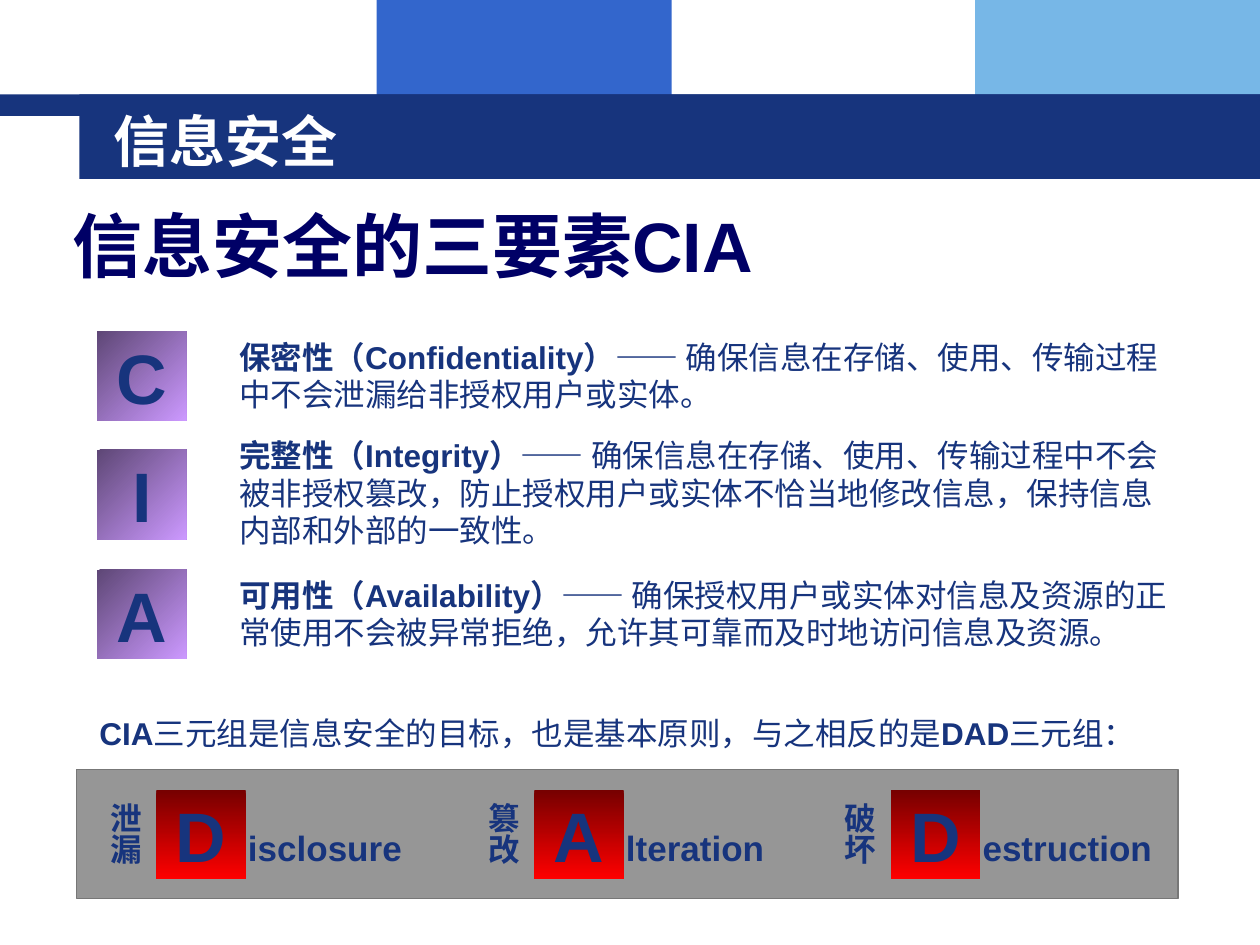
from dataclasses import dataclass

from pptx import Presentation
from pptx.dml.color import RGBColor
from pptx.enum.shapes import MSO_SHAPE
from pptx.enum.text import MSO_ANCHOR, MSO_AUTO_SIZE, PP_ALIGN
from pptx.util import Inches, Pt

RECT = MSO_SHAPE.RECTANGLE
CENTER = PP_ALIGN.CENTER
TOP, MIDDLE = MSO_ANCHOR.TOP, MSO_ANCHOR.MIDDLE
GROW = MSO_AUTO_SIZE.SHAPE_TO_FIT_TEXT

COLORS = {
    "navy": "17347D", "blue": "3366CC", "sky": "77B7E7", "white": "FFFFFF",
    "heading": "000066", "panel": "969696", "panel_line": "777777",
    "violet_dark": "5E4776", "violet": "CC99FF",
    "red_dark": "760000", "red": "FF0000",
}
LATIN, CJK = "Arial", "Noto Sans CJK SC"
TILE = 0.71
VIOLET = ("violet_dark", "violet", 315)
RED = ("red_dark", "red", 270)


@dataclass
class Element:
    letter: str
    tile_y: float
    text_y: float
    width: float
    height: float
    term: str
    meaning: str


@dataclass
class Threat:
    letter: str
    rest: str
    label: str
    tile_x: float


ELEMENTS = [
    Element("C", 2.63, 2.63, 7.56, 0.7, "保密性（Confidentiality）—— ",
            "确保信息在存储、使用、传输过程中不会泄漏给非授权用户或实体。"),
    Element("I", 3.57, 3.41, 7.64, 1, "完整性（Integrity）—— ",
            "确保信息在存储、使用、传输过程中不会被非授权篡改，"
            "防止授权用户或实体不恰当地修改信息，保持信息内部和外部的一致性。"),
    Element("A", 4.52, 4.52, 7.64, 0.7, "可用性（Availability）—— ",
            "确保授权用户或实体对信息及资源的正常使用不会被异常拒绝，"
            "允许其可靠而及时地访问信息及资源。"),
]
THREATS = [
    Threat("D", "isclosure", "泄漏", 1.24),
    Threat("A", "lteration", "篡改", 4.24),
    Threat("D", "estruction", "破坏", 7.07),
]


def rgb(name: str) -> RGBColor:
    return RGBColor.from_string(COLORS[name])


def write(tf, *runs: tuple[str, bool], size: float = 18, color: str = "navy",
          font: str = LATIN, align=None, anchor=TOP) -> None:
    """Fill a text frame with one paragraph of (text, bold) runs."""
    tf.vertical_anchor = anchor
    p = tf.paragraphs[0]
    p.alignment = align
    for text, bold in runs:
        r = p.add_run()
        r.text = text
        r.font.name = font
        r.font.size = Pt(size)
        r.font.bold = bold
        r.font.color.rgb = rgb(color)


def add_text(s, x: float, y: float, w: float, h: float,
             *runs: tuple[str, bool], vertical: bool = False, **fmt) -> None:
    tf = s.shapes.add_textbox(Inches(x), Inches(y), Inches(w), Inches(h)).text_frame
    tf.word_wrap = True
    tf.auto_size = GROW
    if vertical:
        tf._txBody.bodyPr.set("vert", "eaVert")
    write(tf, *runs, **fmt)


def add_rect(s, x: float, y: float, w: float, h: float, fill: str, line: str = ""):
    sp = s.shapes.add_shape(RECT, Inches(x), Inches(y), Inches(w), Inches(h))
    sp.shadow.inherit = False
    sp.fill.solid()
    sp.fill.fore_color.rgb = rgb(fill)
    if line:
        sp.line.color.rgb = rgb(line)
        sp.line.width = Pt(0.75)
    else:
        sp.line.fill.background()
    return sp


def add_tile(s, x: float, y: float, letter: str, gradient: tuple[str, str, int]) -> None:
    start, end, angle = gradient
    sp = add_rect(s, x, y, TILE, TILE, end)
    sp.fill.gradient()
    sp.fill.gradient_angle = angle
    for stop, name, position in zip(sp.fill.gradient_stops, (start, end), (0, 1)):
        stop.color.rgb = rgb(name)
        stop.position = position
    sp.text_frame.word_wrap = False
    write(sp.text_frame, (letter, True), size=40, align=CENTER, anchor=MIDDLE)


def main() -> None:
    prs = Presentation()
    prs.slide_width, prs.slide_height = Inches(10), Inches(7.5)
    s = prs.slides.add_slide(prs.slide_layouts[6])

    # Header bands and titles
    add_rect(s, 2.99, 0, 2.34, 0.92, "blue")
    add_rect(s, 7.74, 0, 2.26, 0.92, "sky")
    add_rect(s, 0, 0.75, 10, 0.17, "navy")
    add_rect(s, 0.63, 0.75, 9.37, 0.67, "navy")
    add_text(s, 0.8, 0.8, 8.53, 0.62, ("信息安全", True),
             size=32, color="white", font=CJK, anchor=MIDDLE)
    add_text(s, 0.48, 1.56, 9.09, 0.77, ("信息安全的三要素CIA", True),
             size=40, color="heading")

    # CIA elements
    for e in ELEMENTS:
        add_tile(s, 0.77, e.tile_y, e.letter, VIOLET)
        add_text(s, 1.8, e.text_y, e.width, e.height,
                 (e.term, True), (e.meaning, False))

    # Link to the opposite triad
    add_text(s, 0.69, 5.62, 8.58, 0.4, ("CIA", True),
             ("三元组是信息安全的目标，也是基本原则，与之相反的是", False),
             ("DAD", True), ("三元组：", False))

    # DAD panel
    add_rect(s, 0.61, 6.11, 8.74, 1.02, "panel", line="panel_line")
    for t in THREATS:
        add_text(s, t.tile_x - 0.55, 6.27, 0.5, TILE, (t.label, True),
                 vertical=True, align=CENTER)
        add_tile(s, t.tile_x, 6.27, t.letter, RED)
        add_text(s, t.tile_x + 0.63, 6.51, 1.57, 0.43, (t.rest, True), size=20)

    prs.save("out.pptx")


if __name__ == "__main__":
    main()
